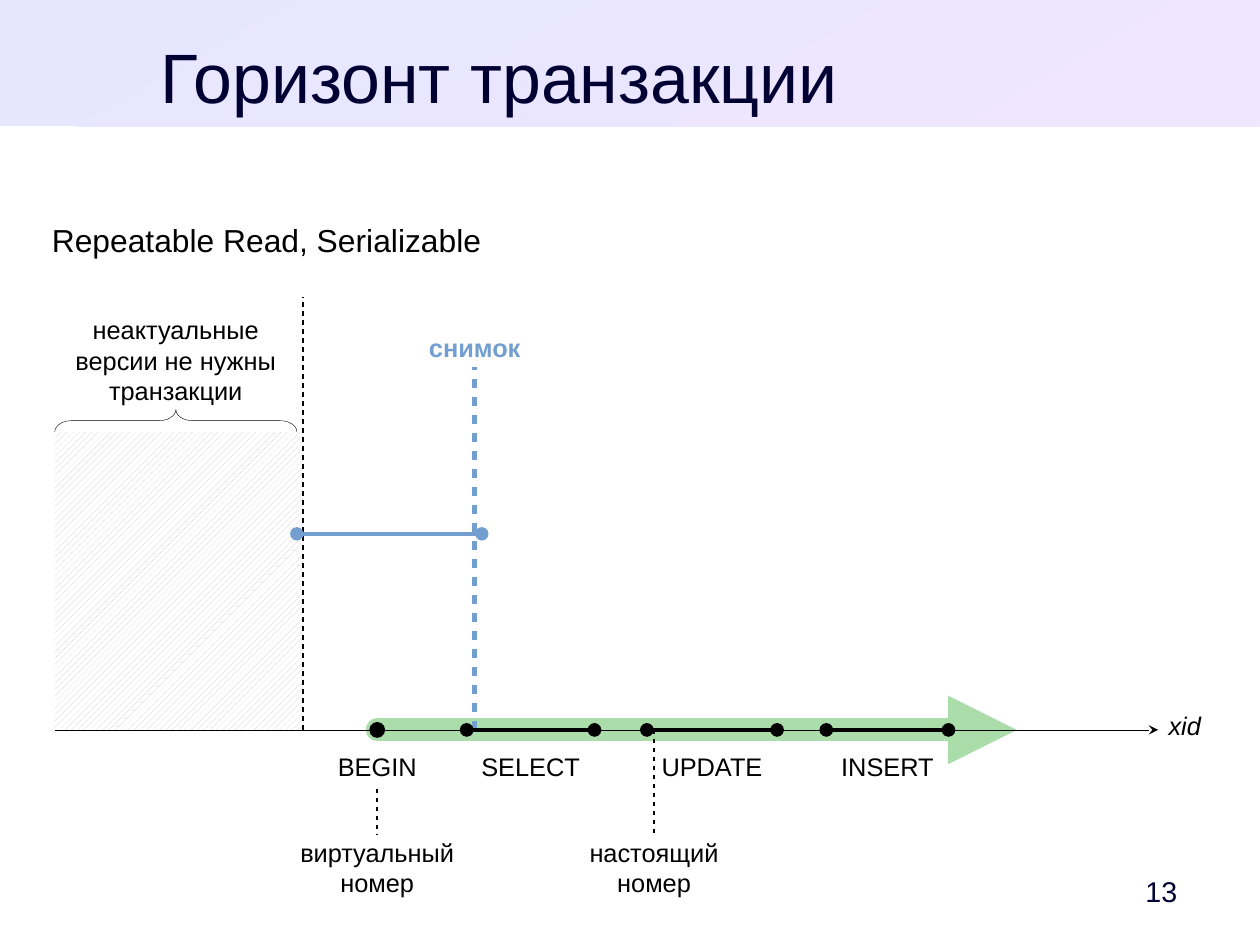
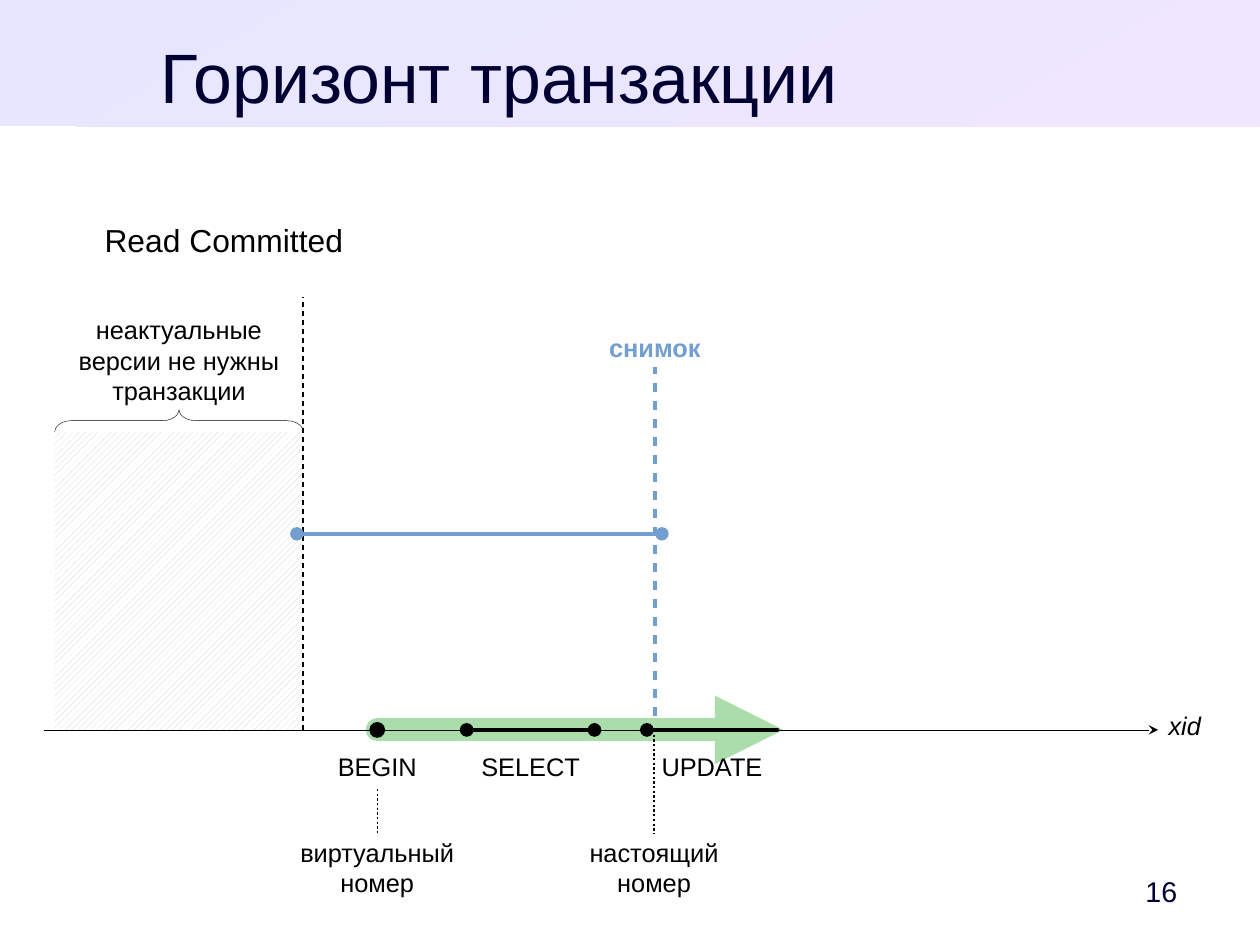
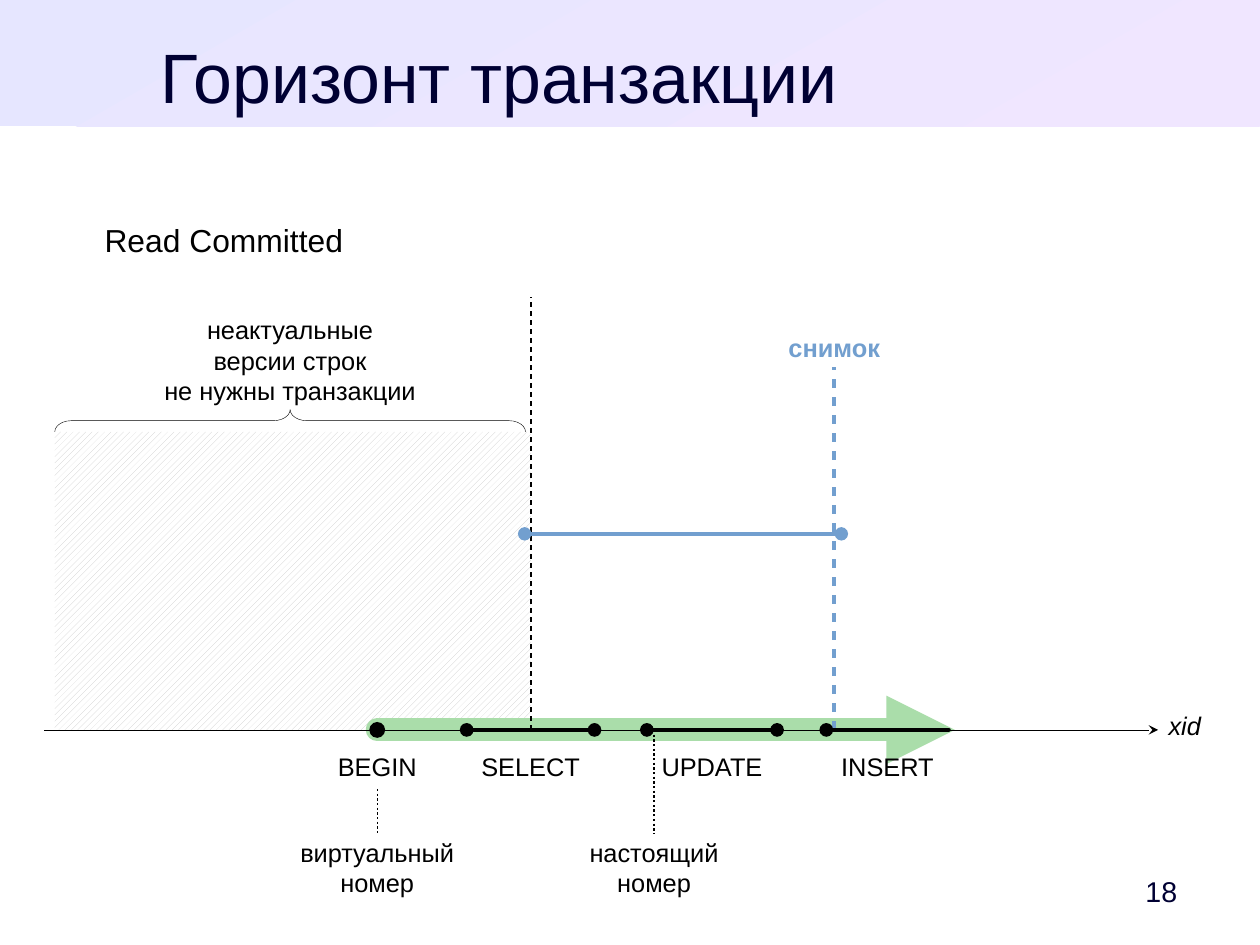
from lxml import etree
from pptx import Presentation
from pptx.dml.color import RGBColor
from pptx.enum.dml import MSO_PATTERN
from pptx.enum.shapes import MSO_CONNECTOR, MSO_SHAPE
from pptx.enum.text import MSO_ANCHOR, MSO_AUTO_SIZE, PP_ALIGN
from pptx.oxml.ns import qn
from pptx.util import Pt

STRAIGHT = MSO_CONNECTOR.STRAIGHT
RECT, OVAL, BRACE = MSO_SHAPE.RECTANGLE, MSO_SHAPE.OVAL, MSO_SHAPE.LEFT_BRACE
HATCH = MSO_PATTERN.WIDE_UPWARD_DIAGONAL
LEFT, CENTER, RIGHT = PP_ALIGN.LEFT, PP_ALIGN.CENTER, PP_ALIGN.RIGHT
TOP, MIDDLE = MSO_ANCHOR.TOP, MSO_ANCHOR.MIDDLE
RGB = RGBColor.from_string

NAVY, BLACK, WHITE, GRAY = "000033", "000000", "FFFFFF", "CCCCCC"
BLUE, GREEN = "729FCF", "AADDAA"
FONT = "Arial"
WIDE, HIGH = 793.7, 595.28
AXIS = 459.8    # height of the xid axis
EDGE = 34.5     # left edge of the hatched area
BEGIN = 237.6
HAIR = 0.25
STEPS = [("SELECT", 294, 374.5), ("UPDATE", 407.5, 489.5), ("INSERT", 520.5, 597.5)]
REAL = 412      # where the real number is given out

UNUSED = "неактуальные\nверсии не нужны\nтранзакции"
SLIDES = [
    dict(page="13", level="Repeatable Read, Serializable", mid=168, start=EDGE,
         horizon=191, brace=187, note=UNUSED, steps=3, done=True, snap=0,
         base=AXIS, thin=1.42),
    dict(page="16", level="Read Committed", mid=141, start=28,
         horizon=191, brace=191, note=UNUSED, steps=2, done=False, snap=1,
         base=AXIS - 9, thin=0.75),
    dict(page="18", level="Read Committed", mid=141, start=28,
         horizon=334.5, brace=331, note="неактуальные\nверсии строк\nне нужны транзакции",
         steps=3, done=False, snap=2, base=AXIS, thin=0.75),
]


def text(x, y, w, h, words, size=16, color=BLACK, align=CENTER):
    """Add a text box to the current slide."""
    box = slide.shapes.add_textbox(Pt(x), Pt(y), Pt(w), Pt(h))
    frame = box.text_frame
    frame.word_wrap = True
    frame.text = words
    for para in frame.paragraphs:
        para.alignment = align
        para.font.name, para.font.size = FONT, Pt(size)
        para.font.color.rgb = RGB(color)
    return frame


def line(x1, y1, x2, y2, color, width, dash=False, head=None, tail=None):
    """Add a connector with optional dashes and line ends."""
    wire = slide.shapes.add_connector(STRAIGHT, Pt(x1), Pt(y1), Pt(x2), Pt(y2))
    wire.line.color.rgb = RGB(color)
    wire.line.width = Pt(width)
    ln = wire.line._get_or_add_ln()
    if dash:
        cust = etree.SubElement(ln, qn("a:custDash"))
        etree.SubElement(cust, qn("a:ds"), d="200000", sp="200000")
    elif width > HAIR:
        ln.set("cap", "rnd")
    for tag, kind in (("a:headEnd", head), ("a:tailEnd", tail)):
        if kind:
            etree.SubElement(ln, qn(tag), type=kind)
    etree.SubElement(wire.element.spPr, qn("a:effectLst"))


prs = Presentation()
prs.slide_width, prs.slide_height = Pt(WIDE), Pt(HIGH)
layout = prs.slide_layouts[5]
head = layout.placeholders[0]
head.left, head.top, head.width, head.height = Pt(34), Pt(21), Pt(561.5), Pt(50)

for n, data in enumerate(SLIDES):
    slide = prs.slides.add_slide(layout)
    if n == 0:
        # The band is made once and moved to the layout, behind the title.
        band = slide.shapes.add_shape(RECT, 0, 0, Pt(WIDE), Pt(79.4))
        band.shadow.inherit = False
        band.line.fill.background()
        band.fill.gradient()
        band.fill.gradient_angle = 300
        for stop, color in zip(band.fill.gradient_stops, ("E6E6FF", "F0E6FF")):
            stop.color.rgb = RGB(color)
        layout.shapes.element.insert(2, band.element)

    frame = slide.shapes.title.text_frame
    frame.text = "Горизонт транзакции"
    frame.auto_size = MSO_AUTO_SIZE.NONE
    frame.vertical_anchor = TOP
    frame.margin_left = frame.margin_right = 0
    frame.margin_top = frame.margin_bottom = 0
    para = frame.paragraphs[0]
    para.alignment = CENTER
    para.font.name, para.font.size = FONT, Pt(44)
    para.font.color.rgb = RGB(NAVY)

    frame = text(697.5, 544, 63, 34, data["page"], 18, NAVY, RIGHT)
    frame.vertical_anchor = MIDDLE
    frame.margin_right = Pt(19)
    text(data["mid"] - 160, 135.4, 320, 30, data["level"], 20)

    # Row versions behind the horizon
    horizon, end = data["horizon"], data["brace"]
    area = slide.shapes.add_shape(RECT, Pt(EDGE), Pt(272), Pt(horizon - EDGE), Pt(AXIS - 272))
    area.shadow.inherit = False
    area.line.fill.background()
    area.fill.patterned()
    area.fill.pattern = HATCH
    area.fill.fore_color.rgb = RGB(GRAY)
    area.fill.back_color.rgb = RGB(WHITE)

    mid, span = (EDGE + end) / 2, end - EDGE
    brace = slide.shapes.add_shape(BRACE, Pt(mid - 7), Pt(265 - span / 2), Pt(14), Pt(span))
    brace.shadow.inherit = False
    brace.rotation = 90
    brace.adjustments[0] = 0.75
    brace.fill.background()
    brace.line.color.rgb = RGB(BLACK)
    brace.line.width = Pt(HAIR)
    text(mid - 100, 194.5, 200, 60, data["note"])

    # Transaction on the axis
    steps = STEPS[:data["steps"]]
    tip = steps[-1][2] + (43 if data["done"] else 4)
    line(BEGIN, AXIS, tip, AXIS, GREEN, 14.4, tail="triangle")
    line(data["start"], AXIS, 729.5, AXIS, BLACK, HAIR, tail="stealth")
    text(729, 444, 45, 25, "xid", align=LEFT).paragraphs[0].font.italic = True
    line(horizon, AXIS, horizon, 187, BLACK, 1.42, dash=True)

    # Snapshot
    snap = STEPS[data["snap"]][1] + 5
    line(snap, data["base"], snap, 231, BLUE, 2.83, dash=True)
    text(snap - 45, 206, 90, 25, "снимок", color=BLUE).paragraphs[0].font.bold = True
    line(horizon - 4, 336.3, snap + 4.5, 336.3, BLUE, 2.83, head="oval", tail="oval")

    # Commands
    dot = slide.shapes.add_shape(OVAL, Pt(BEGIN - 5), Pt(AXIS - 5), Pt(10), Pt(10))
    dot.shadow.inherit = False
    dot.fill.solid()
    dot.fill.fore_color.rgb = RGB(BLACK)
    dot.line.fill.background()
    text(BEGIN - 45, 469.5, 90, 29, "BEGIN")
    for step in steps:
        name, x1, x2 = step
        open_end = step is steps[-1] and not data["done"]
        line(x1, AXIS, x2, AXIS, BLACK, 2.89, head="oval", tail=None if open_end else "oval")
        text((x1 + x2) / 2 - 45, 469.5, 90, 29, name)

    # Transaction numbers
    for x, y, word in ((BEGIN, 497, "виртуальный"), (REAL, AXIS, "настоящий")):
        line(x, y, x, 525.5, BLACK, data["thin"], dash=True)
        text(x - 70, 523.5, 140, 42, word + "\nномер")

prs.save("out.pptx")
